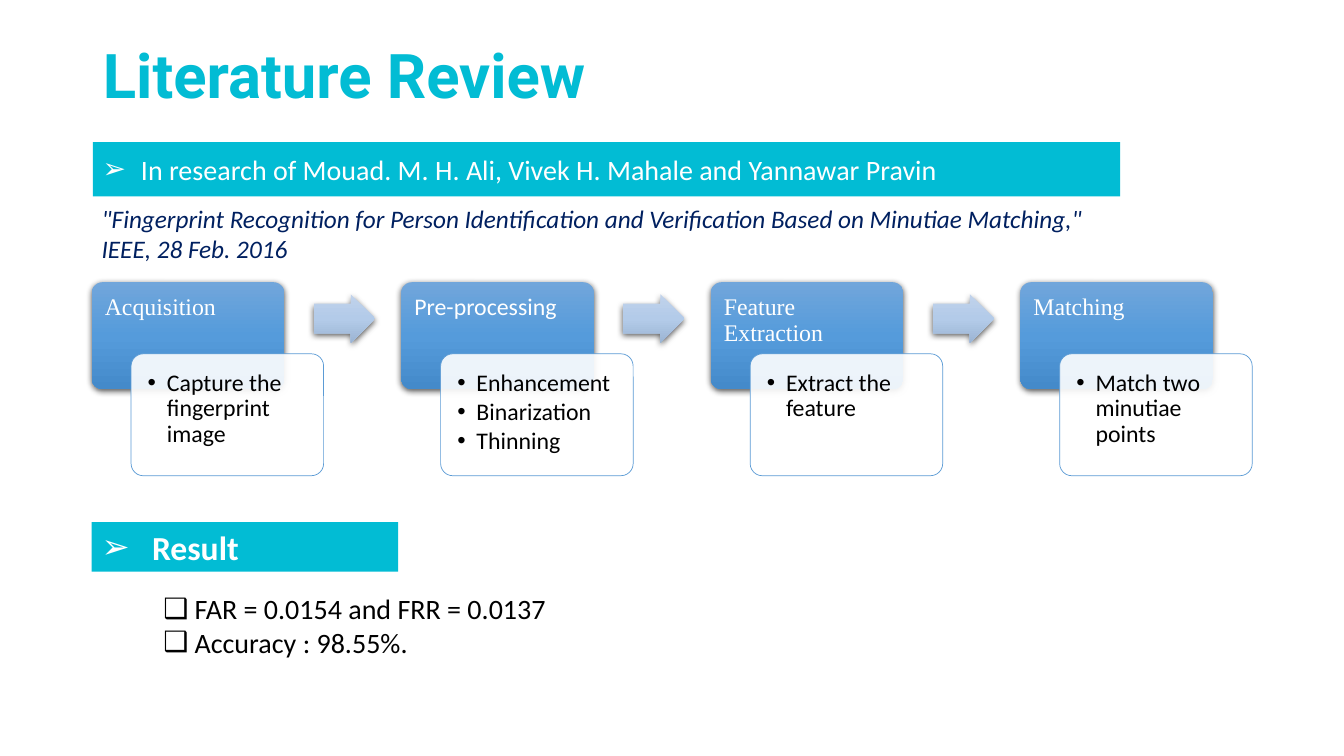
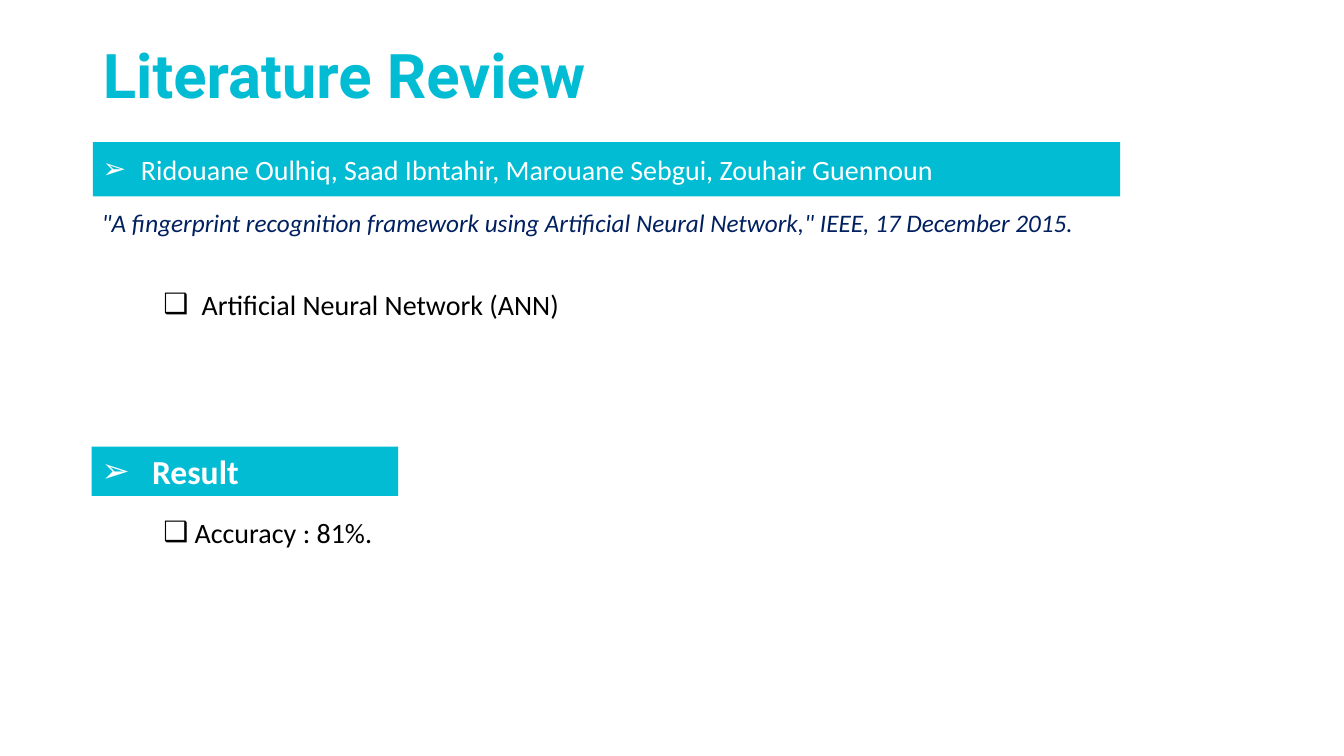
"""Build two literature review slides on fingerprint recognition."""
from dataclasses import dataclass

from pptx import Presentation
from pptx.dml.color import RGBColor
from pptx.enum.shapes import MSO_SHAPE
from pptx.enum.text import MSO_ANCHOR, MSO_AUTO_SIZE, PP_ALIGN
from pptx.oxml import parse_xml
from pptx.oxml.ns import nsdecls
from pptx.util import Inches, Pt

RECT, ROUNDED, ARROW = MSO_SHAPE.RECTANGLE, MSO_SHAPE.ROUNDED_RECTANGLE, MSO_SHAPE.RIGHT_ARROW
TOP, MIDDLE = MSO_ANCHOR.TOP, MSO_ANCHOR.MIDDLE
LEFT = PP_ALIGN.LEFT
NO_FIT = MSO_AUTO_SIZE.NONE

CYAN, NAVY, BLUE, WHITE, BLACK = "02BCD4", "002060", "5B9BD5", "FFFFFF", "000000"
STEP_GRADIENT = ("71A6DB", "559BDB", "448ACA")
ARROW_GRADIENT = ("C0D2EB", "B3CBE9", "9BB4D3")
SERIF, SANS, TITLE_FONT = "Times New Roman", "Calibri", "Roboto"
MARGIN, BAND_LEFT, LIST_LEFT = 0.91, 0.92, 1.52
STEP_TOP, STEP_PITCH, STEP_WIDTH = 2.8, 3.07, 1.91
ONE_LIST_LAYOUT, TWO_LIST_LAYOUT = 1, 3


@dataclass(frozen=True)
class Step:
    """A stage of the recognition process with its details."""
    heading: str
    details: tuple[str, ...]
    font: str = SERIF


@dataclass(frozen=True)
class Findings:
    """A checklist with its place and text indent."""
    lines: tuple[str, ...]
    top: float
    height: float
    indent: float = 0.31


@dataclass(frozen=True)
class Review:
    """One reviewed paper."""
    authors: str
    citation: str
    citation_top: float
    citation_height: float
    result_top: float
    checklists: tuple[Findings, ...]
    steps: tuple[Step, ...] = ()


REVIEWS = (
    Review(
        "In research of Mouad. M. H. Ali, Vivek H. Mahale and Yannawar Pravin",
        '"Fingerprint Recognition for Person Identification and Verification '
        'Based on Minutiae Matching," IEEE, 28 Feb. 2016',
        1.97, 0.71, 5.18,
        (Findings(("FAR = 0.0154 and FRR = 0.0137", "Accuracy : 98.55%."), 5.82, 1.08),),
        (
            Step("Acquisition", ("Capture the fingerprint image",)),
            Step("Pre-processing", ("Enhancement", "Binarization", "Thinning"), SANS),
            Step("Feature Extraction", ("Extract the feature",)),
            Step("Matching", ("Match two minutiae points",)),
        ),
    ),
    Review(
        "Ridouane Oulhiq, Saad Ibntahir, Marouane Sebgui, Zouhair Guennoun",
        '"A fingerprint recognition framework using Artificial Neural Network," '
        "IEEE, 17 December 2015.",
        2.01, 0.4, 4.43,
        (
            Findings(("Artificial Neural Network (ANN)",), 2.8, 0.44, 0.38),
            Findings(("Accuracy : 81%.",), 5.06, 0.74),
        ),
    ),
)


def rgb(color: str) -> RGBColor:
    """Turn a hex string into a colour."""
    return RGBColor.from_string(color)


def write(holder, *lines: str, size: float, color: str, font: str = SANS,
          bold: bool = False, italic: bool = False, bullet: str = "",
          indent: float = 0, spacing: float = 1, after: float = 0,
          anchor=TOP, insets: tuple[float, float] = (0.1, 0.05)) -> None:
    """Fill a shape with formatted paragraphs."""
    frame = holder.text_frame
    frame.auto_size, frame.word_wrap, frame.vertical_anchor = NO_FIT, True, anchor
    frame.margin_left = frame.margin_right = Inches(insets[0])
    frame.margin_top = frame.margin_bottom = Inches(insets[1])
    for index, line in enumerate(lines):
        paragraph = frame.add_paragraph() if index else frame.paragraphs[0]
        paragraph.alignment = LEFT
        paragraph.line_spacing = spacing
        paragraph.space_before, paragraph.space_after = Pt(0), Pt(after)
        if bullet:
            properties = paragraph._p.get_or_add_pPr()
            properties.set("marL", str(Inches(indent)))
            properties.set("indent", str(-Inches(indent)))
            properties.append(parse_xml(f'<a:buFont {nsdecls("a")} typeface="Arial"/>'))
            properties.append(parse_xml(f'<a:buChar {nsdecls("a")} char="{bullet}"/>'))
        run = paragraph.add_run()
        run.text = line
        run.font.name, run.font.size = font, Pt(size)
        run.font.bold, run.font.italic = bold, italic
        run.font.color.rgb = rgb(color)


def place(holder, left: float, top: float, width: float, height: float) -> None:
    """Move and size a placeholder."""
    holder.left, holder.top = Inches(left), Inches(top)
    holder.width, holder.height = Inches(width), Inches(height)


def add_plain(slide, kind, left: float, top: float, width: float, height: float,
              adjustments: tuple[float, ...] = ()):
    """Add a preset shape without outline or shadow."""
    shape = slide.shapes.add_shape(
        kind, Inches(left), Inches(top), Inches(width), Inches(height))
    for index, value in enumerate(adjustments):
        shape.adjustments[index] = value
    shape.line.fill.background()
    shape.shadow.inherit = False
    return shape


def add_raised(slide, kind, left: float, top: float, width: float, height: float,
               adjustments: tuple[float, ...], gradient: tuple[str, str, str]):
    """Add a shape with a vertical gradient and a soft shadow."""
    shape = add_plain(slide, kind, left, top, width, height, adjustments)
    stops = "".join(f'<a:gs pos="{index * 50000}"><a:srgbClr val="{color}"/></a:gs>'
                    for index, color in enumerate(gradient))
    properties = shape._element.spPr
    properties.insert(2, parse_xml(
        f'<a:gradFill {nsdecls("a")} rotWithShape="1"><a:gsLst>{stops}</a:gsLst>'
        '<a:lin ang="5400000" scaled="0"/></a:gradFill>'))
    properties.remove(properties[-1])
    properties.append(parse_xml(
        f'<a:effectLst {nsdecls("a")}><a:outerShdw blurRad="{Pt(4.5)}" dist="{Pt(1.5)}" '
        f'dir="5400000" algn="ctr" rotWithShape="0"><a:srgbClr val="{BLACK}">'
        '<a:alpha val="63000"/></a:srgbClr></a:outerShdw></a:effectLst>'))
    return shape


def add_band(slide, text: str, left: float, top: float, width: float, height: float,
             size: float, indent: float, bold: bool = False) -> None:
    """Add a cyan band with an arrow bullet."""
    band = add_plain(slide, RECT, left, top, width, height)
    band.fill.solid()
    band.fill.fore_color.rgb = rgb(CYAN)
    write(band, text, size=size, color=WHITE, bold=bold, bullet="➢",
          indent=indent, anchor=MIDDLE)


def add_step(slide, step: Step, left: float) -> None:
    """Add a step heading with its overlapping detail card."""
    heading = add_raised(slide, ROUNDED, left, STEP_TOP, STEP_WIDTH, 1.06,
                         (0.1,), STEP_GRADIENT)
    write(heading, step.heading, size=17, color=WHITE, font=step.font,
          spacing=0.9, insets=(0.1, 0.1))
    card = add_plain(slide, ROUNDED, left + 0.39, STEP_TOP + 0.71, STEP_WIDTH, 1.21, (0.1,))
    card.fill.solid()
    card.fill.fore_color.rgb = rgb(WHITE)
    card._element.spPr.find(".//" + "{http://schemas.openxmlformats.org/drawingml/2006/main}srgbClr").append(
        parse_xml(f'<a:alpha {nsdecls("a")} val="90000"/>'))
    card.line.color.rgb = rgb(BLUE)
    card.line.width = Pt(0.5)
    write(card, *step.details, size=17, color=BLACK, bullet="•", indent=0.19,
          spacing=0.9, after=2.5, insets=(0.13, 0.13))


def add_process(slide, steps: tuple[Step, ...]) -> None:
    """Add the steps in a row with arrows between them."""
    for index, step in enumerate(steps):
        left = MARGIN + index * STEP_PITCH
        if index:
            add_raised(slide, ARROW, left - 0.87, STEP_TOP + 0.12, 0.61, 0.48,
                       (0.6, 0.5), ARROW_GRADIENT)
        add_step(slide, step, left)


def add_review(deck, review: Review) -> None:
    """Add the slide of one reviewed paper."""
    layout = TWO_LIST_LAYOUT if len(review.checklists) > 1 else ONE_LIST_LAYOUT
    slide = deck.slides.add_slide(deck.slide_layouts[layout])
    title, *bodies = slide.placeholders
    place(title, 0.92, 0.4, 11.5, 0.94)
    write(title, "Literature Review", size=44, color=CYAN, font=TITLE_FONT,
          bold=True, spacing=0.9)
    for body, findings in zip(bodies, review.checklists):
        place(body, LIST_LEFT, findings.top, 4.3, findings.height)
        write(body, *findings.lines, size=20, color=BLACK, bullet="❑",
              indent=findings.indent)
    add_process(slide, review.steps)
    add_band(slide, "Result", MARGIN, review.result_top, 3.04, 0.49, 24, 0.5, bold=True)
    add_band(slide, review.authors, BAND_LEFT, 1.41, 10.19, 0.54, 20, 0.38)
    citation = slide.shapes.add_textbox(
        Inches(MARGIN), Inches(review.citation_top), Inches(10.2),
        Inches(review.citation_height))
    write(citation, review.citation, size=18, color=NAVY, italic=True)


def main() -> None:
    """Build and save the deck."""
    deck = Presentation()
    deck.slide_width, deck.slide_height = Inches(13.33), Inches(7.5)
    for review in REVIEWS:
        add_review(deck, review)
    deck.save("out.pptx")


if __name__ == "__main__":
    main()
